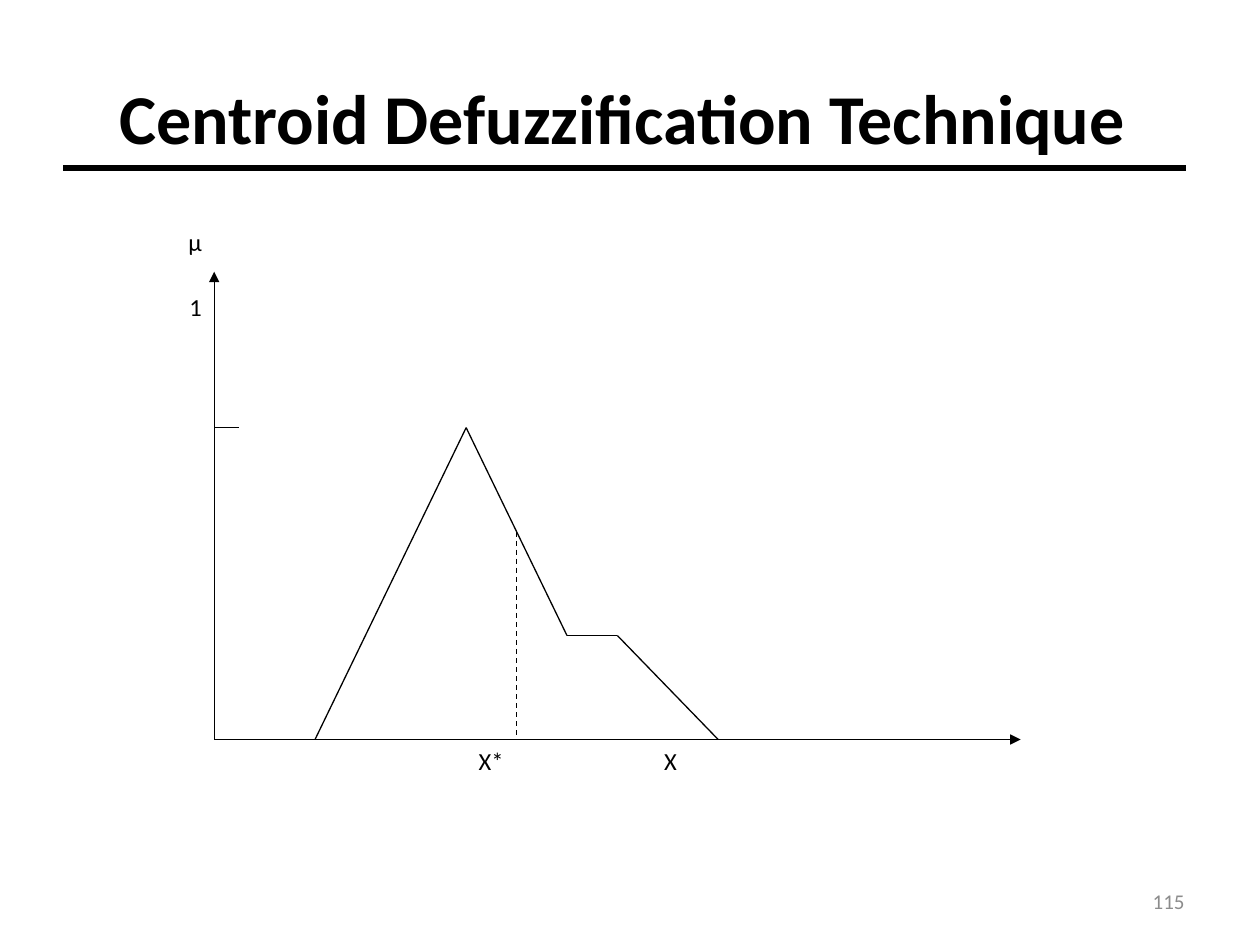
from itertools import pairwise
from lxml.etree import SubElement
from pptx import Presentation
from pptx.dml.color import RGBColor
from pptx.enum.dml import MSO_LINE
from pptx.enum.shapes import MSO_CONNECTOR
from pptx.enum.text import MSO_ANCHOR, PP_ALIGN
from pptx.oxml.ns import qn
from pptx.util import Pt

TITLE = "Centroid Defuzzification Technique "
MARKS = ["μ", "1"]
NAMES = "X*\tX"
PAGE = "115"

AXES = [[(0, 0), (0, 4.5)], [(0, 0), (16, 0)]]
CURVE = [(2, 0), (5, 3), (7, 1), (8, 1), (10, 0)]
CENTER = [(6, 2), (6, 0)]
TICK = [(0, 3), (0.5, 3)]

THEME = {
    "font": "Calibri", "ink": "000000", "gray": "8C8C8C",
    "title": 40, "label": 14, "page": 12, "rule": 3, "thin": 0.75,
}
LEFT, BASE = 122.4, 422.6
STEP_X, STEP_Y = 28.8, 59.4

deck = Presentation()
deck.slide_width, deck.slide_height = Pt(720), Pt(540)
slide = deck.slides.add_slide(deck.slide_layouts[6])


def write(text, box, size, color="ink", bold=False, align=PP_ALIGN.LEFT,
          anchor=MSO_ANCHOR.TOP, gap=0, lead=1, tab=None):
    frame = slide.shapes.add_textbox(*map(Pt, box)).text_frame
    frame.word_wrap = True
    frame.vertical_anchor = anchor
    frame.text = text
    for i, para in enumerate(frame.paragraphs):
        para.alignment = align
        if i:
            para.space_before, para.line_spacing = Pt(gap), lead
        if tab:
            tabs = SubElement(para._p.get_or_add_pPr(), qn("a:tabLst"))
            SubElement(tabs, qn("a:tab"), pos=str(Pt(tab)), algn="l")
        for run in para.runs:
            font = run.font
            font.name, font.size, font.bold = THEME["font"], Pt(THEME[size]), bold
            font.color.rgb = RGBColor.from_string(THEME[color])


def draw(start, end, width="thin", dash=False, arrow=False):
    line = slide.shapes.add_connector(
        MSO_CONNECTOR.STRAIGHT, *map(Pt, (*start, *end)))
    line.line.color.rgb = RGBColor.from_string(THEME["ink"])
    line.line.width = Pt(THEME[width])
    if dash:
        line.line.dash_style = MSO_LINE.DASH
    if arrow:
        SubElement(line.line._get_or_add_ln(), qn("a:tailEnd"), type="triangle")
    SubElement(line._element.spPr, qn("a:effectLst"))


def place(spot):
    return LEFT + spot[0] * STEP_X, BASE - spot[1] * STEP_Y


def plot(spots, **look):
    for start, end in pairwise(map(place, spots)):
        draw(start, end, **look)


write(PAGE, (516, 500.4, 168, 28.8), "page", color="gray",
      align=PP_ALIGN.RIGHT, anchor=MSO_ANCHOR.MIDDLE)
write(TITLE, (36, 21.6, 648, 90), "title", bold=True,
      align=PP_ALIGN.CENTER, anchor=MSO_ANCHOR.MIDDLE)
draw((36, 96), (678, 96), width="rule")

for axis in AXES:
    plot(axis, arrow=True)
plot(CURVE)
plot(CENTER, dash=True)
plot(TICK)
write(NAMES, (*place((5, 0)), 417.6, 24.3), "label", tab=106)
write("\n".join(MARKS), (36, 126, 86.4, 154.8), "label",
      align=PP_ALIGN.RIGHT, gap=7, lead=1.8)

deck.save("out.pptx")
